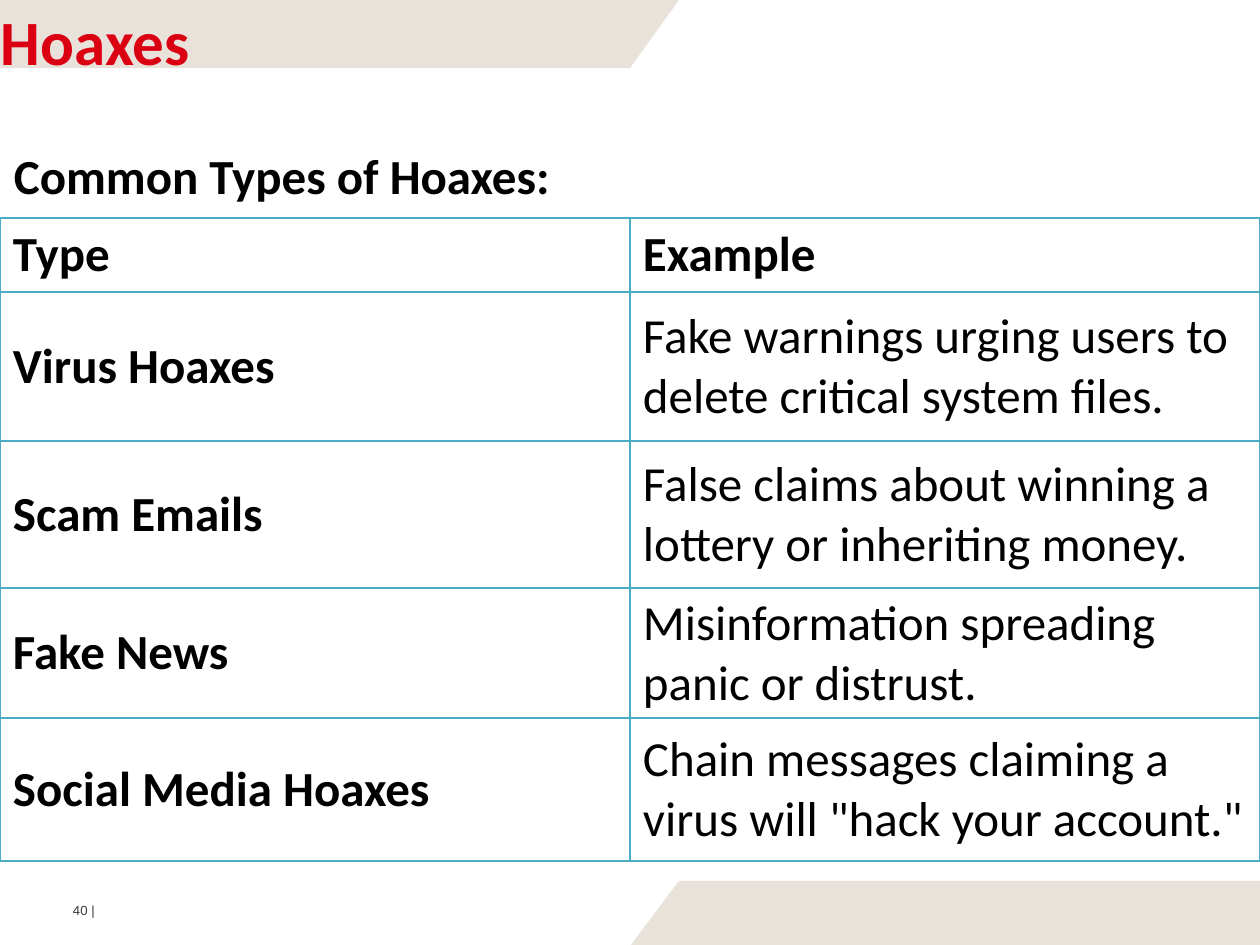
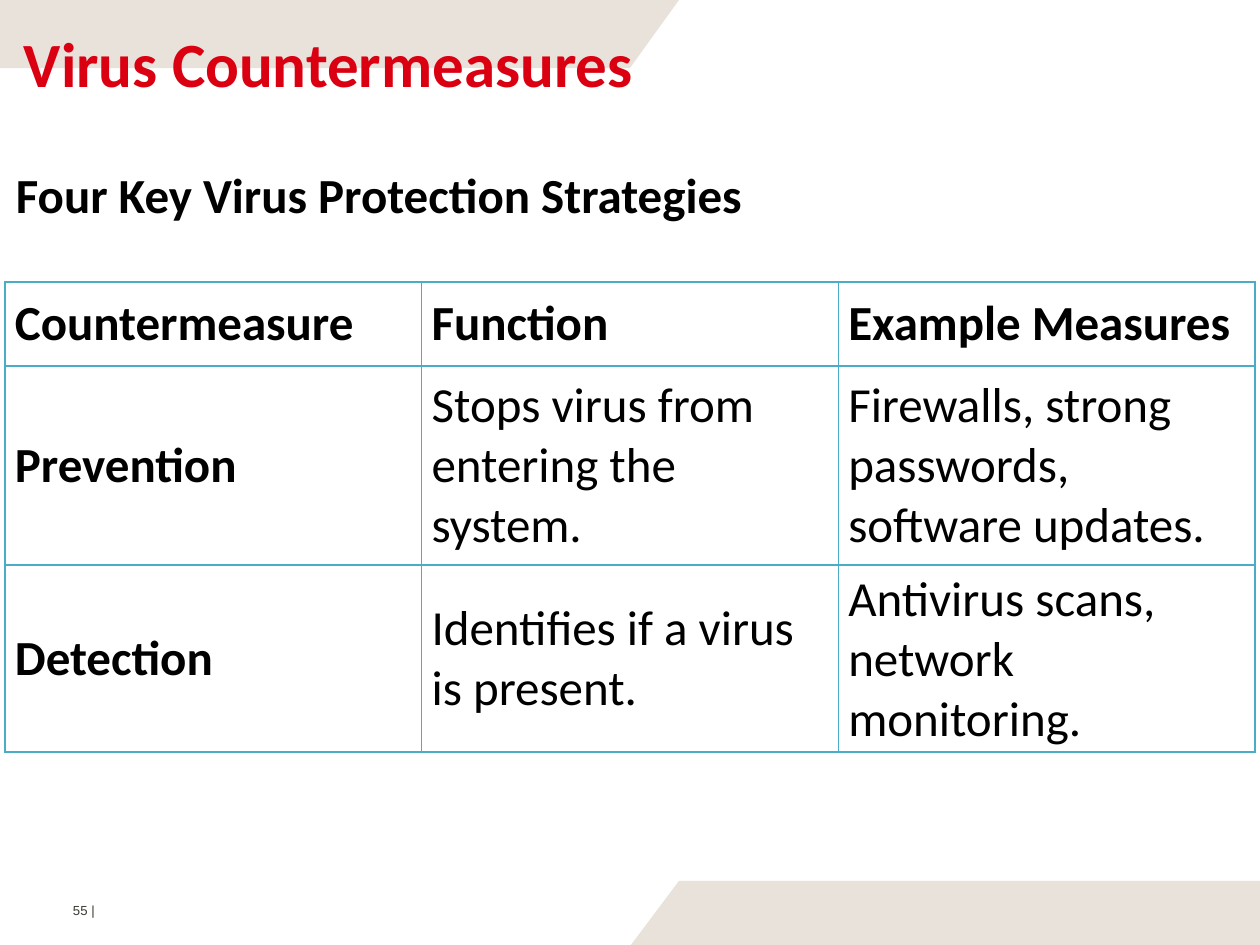
from lxml import etree
from pptx import Presentation
from pptx import util as u
from pptx.dml.color import RGBColor
from pptx.enum import text
from pptx.oxml.ns import qn

PX = u.Inches(1) / 126
WIDTH, HEIGHT = 1260, 945
SAND = RGBColor(0xE8, 0xE2, 0xDB)
RED = RGBColor(0xDA, 0x00, 0x12)
BLACK = RGBColor(0x00, 0x00, 0x00)
GREY = RGBColor(0x3C, 0x39, 0x35)
TEAL = RGBColor(0x4B, 0xAC, 0xC6)

TOP_BAND = [(679, 0), (0, 0), (0, 68), (630, 68)]
BOTTOM_BAND = [(1260, 881), (679, 881), (631, 945), (1260, 945)]

HOAXES = [
    ["Type", "Example"],
    ["Virus Hoaxes", "Fake warnings urging users to delete critical system files."],
    ["Scam Emails", "False claims about winning a lottery or inheriting money."],
    ["Fake News", "Misinformation spreading panic or distrust."],
    ["Social Media Hoaxes", 'Chain messages claiming a virus will "hack your account."'],
]
COUNTERMEASURES = [
    ["Countermeasure", "Function", "Example Measures"],
    ["Prevention", "Stops virus from entering the system.",
     "Firewalls, strong passwords, software updates."],
    ["Detection", "Identifies if a virus is present.",
     "Antivirus scans, network monitoring."],
]


def px(n):
    """Turn px into EMU."""
    return u.Emu(round(n * PX))


def style(p, size, color, bold=False, name="Calibri"):
    """Format every run of a paragraph."""
    for r in p.runs:
        r.font.name, r.font.size, r.font.bold = name, u.Pt(size), bold
        r.font.color.rgb = color


def set_margins(target, left, top, right, bottom):
    """Set the inner margins of a text frame or cell."""
    target.margin_left, target.margin_top = px(left), px(top)
    target.margin_right, target.margin_bottom = px(right), px(bottom)


def add_text(slide, box, words, margins, size, color, **font):
    """Add a text box with one line of text and return its frame."""
    tf = slide.shapes.add_textbox(*map(px, box)).text_frame
    tf.word_wrap = True
    set_margins(tf, *margins)
    tf.text = words
    style(tf.paragraphs[0], size, color, **font)
    return tf


def add_band(slide, points):
    """Draw one slanted band."""
    builder = slide.shapes.build_freeform(*points[0], scale=PX)
    builder.add_line_segments(points[1:], close=True)
    sp = builder.convert_to_shape()
    sp.shadow.inherit = False
    sp.fill.solid()
    sp.fill.fore_color.rgb = SAND
    sp.line.fill.background()


def add_frame(prs, number):
    """Add a slide with its bands and page number."""
    slide = prs.slides.add_slide(prs.slide_layouts[6])
    for points in (TOP_BAND, BOTTOM_BAND):
        add_band(slide, points)
    add_text(slide, (68, 901, 40, 19), f"{number} |", (5, 1, 0, 0), 7.5, GREY, name="Arial")
    return slide


def add_title(slide, box, words, left, top):
    """Add the red slide title, inset from the corner of its box."""
    add_text(slide, box, words, (left, top, 0, 0), 36, RED, bold=True)


def add_heading(slide, box, words):
    """Add the bold heading above the table."""
    tf = add_text(slide, box, words, (13, 6, 13, 6), 28, BLACK, bold=True)
    tf.vertical_anchor = text.MSO_ANCHOR.MIDDLE


def outline(cell):
    """Give a cell thin teal borders and no fill."""
    pr = cell._tc.get_or_add_tcPr()
    for side in ("a:lnL", "a:lnR", "a:lnT", "a:lnB"):
        ln = etree.SubElement(pr, qn(side), w=str(u.Pt(1)))
        fill = etree.SubElement(ln, qn("a:solidFill"))
        etree.SubElement(fill, qn("a:srgbClr"), val=str(TEAL))
    cell.fill.background()


def add_grid(slide, box, rows, heights, margins):
    """Add a table with equal columns, bold in its first row and column."""
    count = len(rows[0])
    table = slide.shapes.add_table(len(rows), count, *map(px, box)).table
    table.first_row = table.horz_banding = False
    for column in table.columns:
        column.width = px(box[2] / count)
    for i, (row, height) in enumerate(zip(rows, heights)):
        table.rows[i].height = px(height)
        for j, words in enumerate(row):
            cell = table.cell(i, j)
            cell.text = words
            cell.vertical_anchor = text.MSO_ANCHOR.MIDDLE
            set_margins(cell, *margins)
            outline(cell)
            style(cell.text_frame.paragraphs[0], 28, BLACK, bold=i == 0 or j == 0)


def hoaxes_slide(prs):
    """Build the slide on types of hoaxes."""
    slide = add_frame(prs, 40)
    add_title(slide, (0, 0, 192, 79), "Hoaxes", 1, 3)
    add_grid(slide, (0, 218, 1260, 643), HOAXES, (74, 149, 147, 130, 143), (13, 6, 13, 6))
    add_heading(slide, (1, 139, 570, 72), "Common Types of Hoaxes:")


def countermeasures_slide(prs):
    """Build the slide on virus countermeasures."""
    slide = add_frame(prs, 55)
    add_title(slide, (0, 0, 893, 100), "Virus Countermeasures", 24, 25)
    add_grid(slide, (5, 282, 1250, 470), COUNTERMEASURES, (84, 199, 187), (10, 5, 10, 5))
    add_heading(slide, (3, 158, 766, 72), "Four Key Virus Protection Strategies")


def main():
    """Build and save the presentation."""
    prs = Presentation()
    prs.slide_width, prs.slide_height = px(WIDTH), px(HEIGHT)
    hoaxes_slide(prs)
    countermeasures_slide(prs)
    prs.save("out.pptx")


if __name__ == "__main__":
    main()
